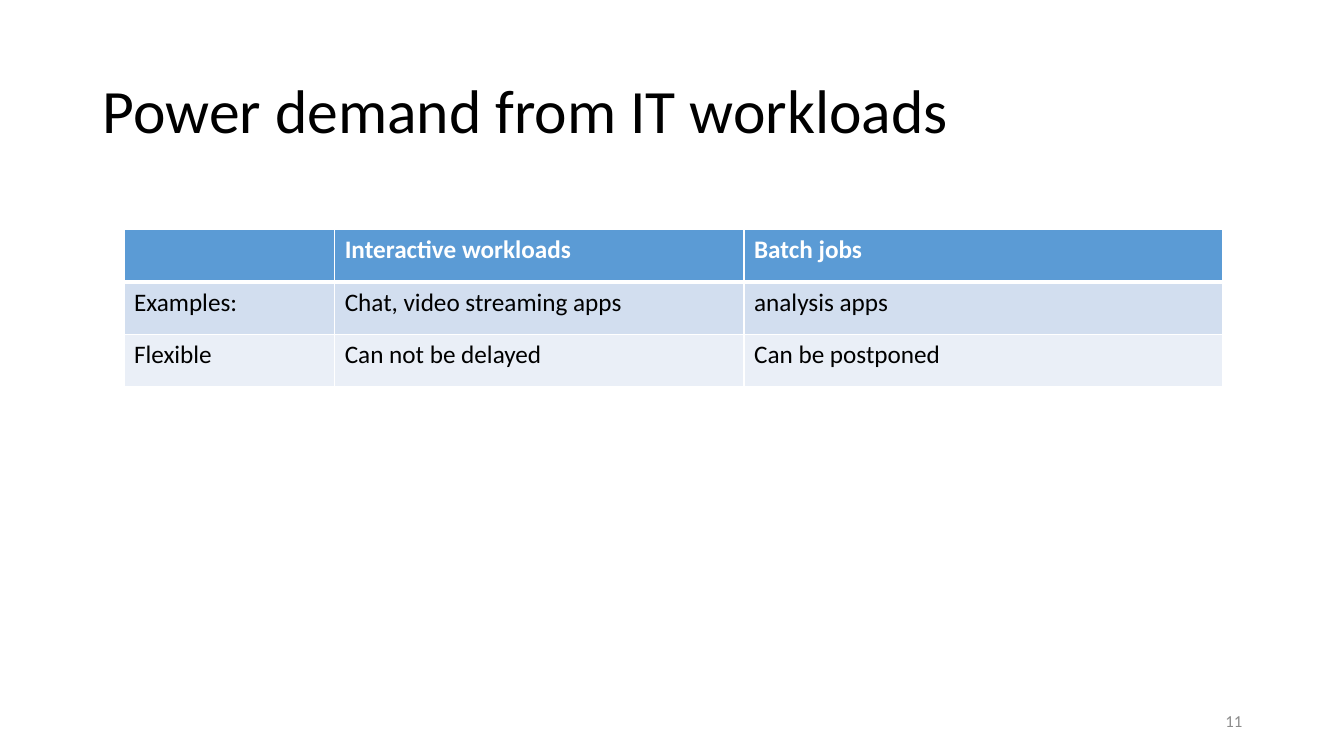
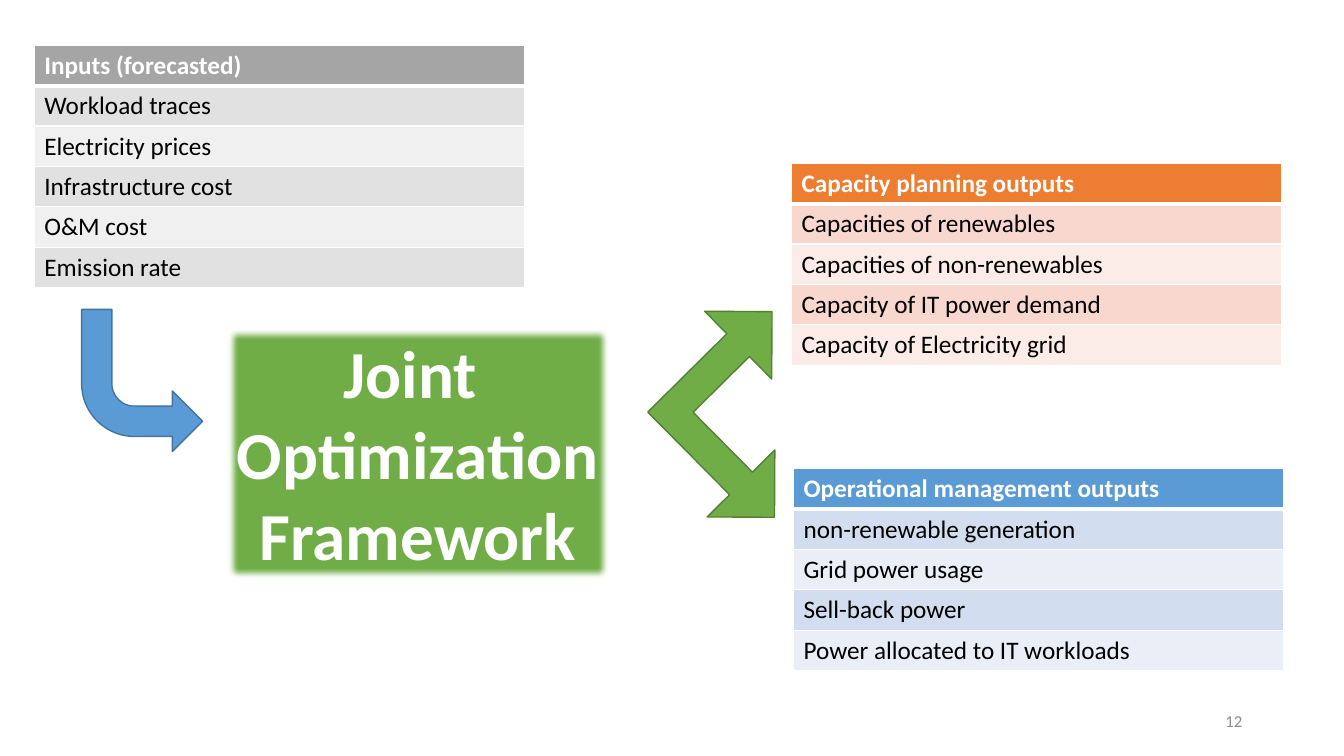
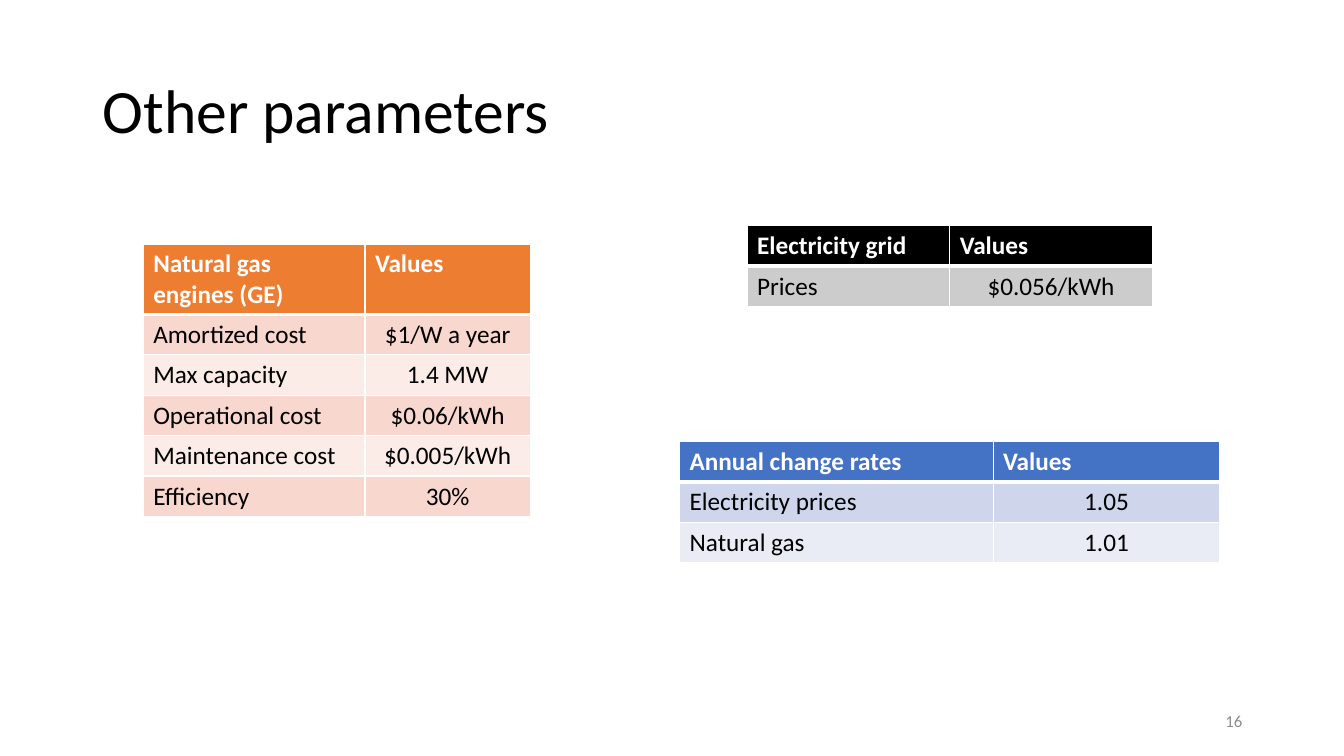
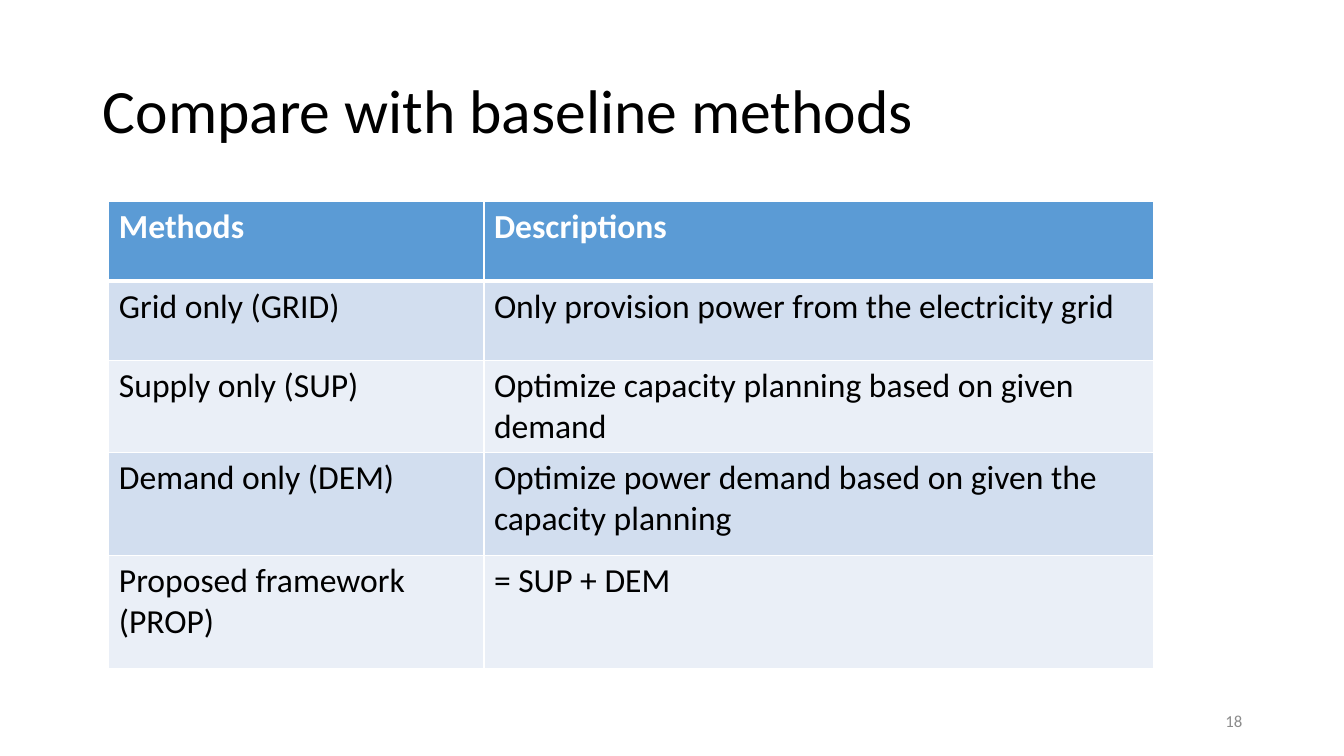
from pptx import Presentation, util as u
from pptx.dml.color import RGBColor
from pptx.enum import shapes, text
from pptx.oxml import ns
from lxml import etree

FONT = "Calibri"
WHITE, BLACK, NOTE = "FFFFFF", "000000", "8C8C8C"
GREEN, MOSS, NAVY = "70AD47", "538035", "43739E"
# Each scheme: header, odd rows, even rows
BLUE = ("5B9BD5", "D2DEEF", "EAEFF7")
GREY = ("A5A5A5", "E1E1E1", "F0F0F0")
ORANGE = ("ED7D31", "F8D7CE", "FCECE8")
ROYAL = ("4472C4", "CFD5EA", "E9EBF5")
DARK = ("000000", "CCCCCC", "E7E7E7")
ROW = 0.4
TITLE_BOX = (0.92, 0.4, 11.5, 1.45)
PAGE_BOX = (9.42, 6.95, 3, 0.4)
LEFT, MID, RIGHT = (text.PP_ALIGN.LEFT, text.PP_ALIGN.CENTER,
                    text.PP_ALIGN.RIGHT)


def rgb(code):
    """Turn a hex string into a colour."""
    return RGBColor.from_string(code)


def inch(box):
    """Turn a box in inches into lengths."""
    return [u.Inches(n) for n in box]


def child(node, tag, **attrs):
    """Append a DrawingML element and return it."""
    return etree.SubElement(node, ns.qn("a:" + tag), attrs)


def write(frame, words, size, color, bold=False, align=LEFT):
    """Fill a text frame, one paragraph per line of words."""
    frame.text = words
    look = {"name": FONT, "size": u.Pt(size), "bold": bold}
    for para in frame.paragraphs:
        para.alignment = align
        for run in para.runs:
            for key, val in look.items():
                setattr(run.font, key, val)
            run.font.color.rgb = rgb(color)


def title(slide, words):
    """Place and format the title placeholder."""
    head = slide.shapes.title
    spots = zip(("left", "top", "width", "height"), inch(TITLE_BOX))
    for key, val in spots:
        setattr(head, key, val)
    frame = head.text_frame
    write(frame, words, 44, BLACK)
    frame.vertical_anchor = text.MSO_ANCHOR.MIDDLE
    frame.auto_size = text.MSO_AUTO_SIZE.NONE
    frame.paragraphs[0].line_spacing = 0.9


def page(deck, number, words=None):
    """Add a slide with its page number and, if given, its title."""
    slide = deck.slides.add_slide(deck.slide_layouts[5 if words else 6])
    if words:
        title(slide, words)
    frame = slide.shapes.add_textbox(*inch(PAGE_BOX)).text_frame
    frame.word_wrap = True
    frame.vertical_anchor = text.MSO_ANCHOR.MIDDLE
    write(frame, str(number), 12, NOTE, align=RIGHT)
    return slide


def edge(cell, base):
    """Draw white cell borders, the lower one base points wide."""
    props = cell._tc.get_or_add_tcPr()
    for side, wide in zip("LRTB", (1, 1, 1, base)):
        line = child(props, "ln" + side, w=str(u.Pt(wide)))
        child(child(line, "solidFill"), "srgbClr", val=WHITE)


def grid(slide, spot, cols, rows, tint, size=18, highs=None, align=LEFT):
    """Draw a banded table at spot; align sets the last column's body."""
    highs = highs or [ROW] * len(rows)
    box = inch((*spot, sum(cols), sum(highs)))
    table = slide.shapes.add_table(len(rows), len(cols), *box).table
    for col, wide in zip(table.columns, cols):
        col.width = u.Inches(wide)
    for r, (row, high) in enumerate(zip(rows, highs)):
        table.rows[r].height = u.Inches(high)
        head = r == 0
        for c, words in enumerate(row):
            cell = table.cell(r, c)
            edge(cell, 3 if head else 1)
            cell.fill.solid()
            cell.fill.fore_color.rgb = rgb(tint[0 if head else 2 - r % 2])
            last = c > 0 and c == len(cols) - 1
            write(cell.text_frame, words, size, WHITE if head else BLACK,
                  head, align if last and not head else LEFT)


def block(slide, kind, box, fill, line):
    """Add a flat preset shape with a thin outline."""
    shape = slide.shapes.add_shape(kind, *inch(box))
    shape.shadow.inherit = False
    shape.fill.solid()
    shape.fill.fore_color.rgb = rgb(fill)
    shape.line.color.rgb = rgb(line)
    shape.line.width = u.Pt(1)
    return shape


def core(slide, box):
    """Draw the soft-edged block in the middle of the flow."""
    shape = block(slide, shapes.MSO_SHAPE.RECTANGLE, box, GREEN, MOSS)
    glow = shape._element.spPr.find(ns.qn("a:effectLst"))
    child(glow, "softEdge", rad=str(u.Pt(5)))
    frame = shape.text_frame
    frame.word_wrap = False
    frame.auto_size = text.MSO_AUTO_SIZE.SHAPE_TO_FIT_TEXT
    frame.vertical_anchor = text.MSO_ANCHOR.TOP
    write(frame, "Joint \nOptimization\nFramework", 48, WHITE, True, MID)


def fork(slide, box):
    """Draw the arrow that splits towards both outputs."""
    shape = block(slide, shapes.MSO_SHAPE.LEFT_UP_ARROW, box, GREEN, MOSS)
    shape.rotation = 135.3
    for i, val in enumerate((0.168, 0.25, 0.25)):
        shape.adjustments[i] = val


def bend(slide, box):
    """Draw the arrow that leads from the inputs to the core."""
    shape = block(slide, shapes.MSO_SHAPE.BENT_ARROW, box, BLUE[0], NAVY)
    shape._element.spPr.xfrm.set("flipV", "1")


def loads(deck):
    """Build the slide on kinds of workload."""
    slide = page(deck, 11, "Power demand from IT workloads")
    rows = [("", "Interactive workloads", "Batch jobs"),
            ("Examples: ", "Chat, video streaming apps", "analysis apps"),
            ("Flexible", "Can not be delayed", "Can be postponed")]
    grid(slide, (1.23, 2.28), (2.09, 4.06, 4.75), rows, BLUE,
         highs=[0.52] * 3)


def flow(deck):
    """Build the slide that leads from inputs to outputs."""
    slide = page(deck, 12)
    lists = [
        ((0.34, 0.45), GREY,
         ("Inputs (forecasted)", "Workload traces ", "Electricity prices",
          "Infrastructure cost", "O&M cost", "Emission rate")),
        ((7.85, 1.62), ORANGE,
         ("Capacity planning outputs", "Capacities of renewables",
          "Capacities of non-renewables", "Capacity of IT power demand",
          "Capacity of Electricity grid")),
        ((7.87, 4.65), BLUE,
         ("Operational management outputs", "non-renewable generation",
          "Grid power usage", "Sell-back power",
          "Power allocated to IT workloads"))]
    for spot, tint, items in lists:
        grid(slide, spot, (4.86,), [(item,) for item in items], tint)
    core(slide, (2.23, 3.24, 3.83, 2.52))
    fork(slide, (6.39, 3.14, 1.89, 1.94))
    bend(slide, (0.81, 3.07, 1.2, 1.41))


def rates(deck):
    """Build the slide of cost and price parameters."""
    slide = page(deck, 16, "Other parameters")
    gas = [("Natural gas engines (GE)", "Values"),
           ("Amortized cost", "$1/W a year"),
           ("Max capacity", "1.4 MW"),
           ("Operational cost", "$0.06/kWh"),
           ("Maintenance cost", "$0.005/kWh"),
           ("Efficiency", "30%")]
    power = [("Electricity grid", "Values"), ("Prices", "$0.056/kWh")]
    change = [("Annual change rates", "Values"),
              ("Electricity prices", "1.05"), ("Natural gas", "1.01")]
    grid(slide, (1.42, 2.42), (2.2, 1.64), gas, ORANGE,
         highs=[0.7] + [ROW] * 5, align=MID)
    grid(slide, (7.41, 2.24), (2.01, 2.01), power, DARK, align=MID)
    grid(slide, (6.74, 4.38), (3.11, 2.25), change, ROYAL, align=MID)


def plans(deck):
    """Build the slide that compares the methods."""
    slide = page(deck, 18, "Compare with baseline methods")
    rows = [("Methods", "Descriptions"),
            ("Grid only (GRID)",
             "Only provision power from the electricity grid"),
            ("Supply only (SUP)",
             "Optimize capacity planning based on given demand"),
            ("Demand only (DEM)",
             "Optimize power demand based on given the capacity planning"),
            ("Proposed framework (PROP)", "= SUP + DEM")]
    grid(slide, (1.08, 2), (3.72, 6.64), rows, BLUE, size=24,
         highs=(0.79, 0.79, 0.91, 1.02, 1.12))


def main():
    """Build and save the deck."""
    deck = Presentation()
    deck.slide_width, deck.slide_height = inch((13.33, 7.5))
    for build in (loads, flow, rates, plans):
        build(deck)
    deck.save("out.pptx")


main()
